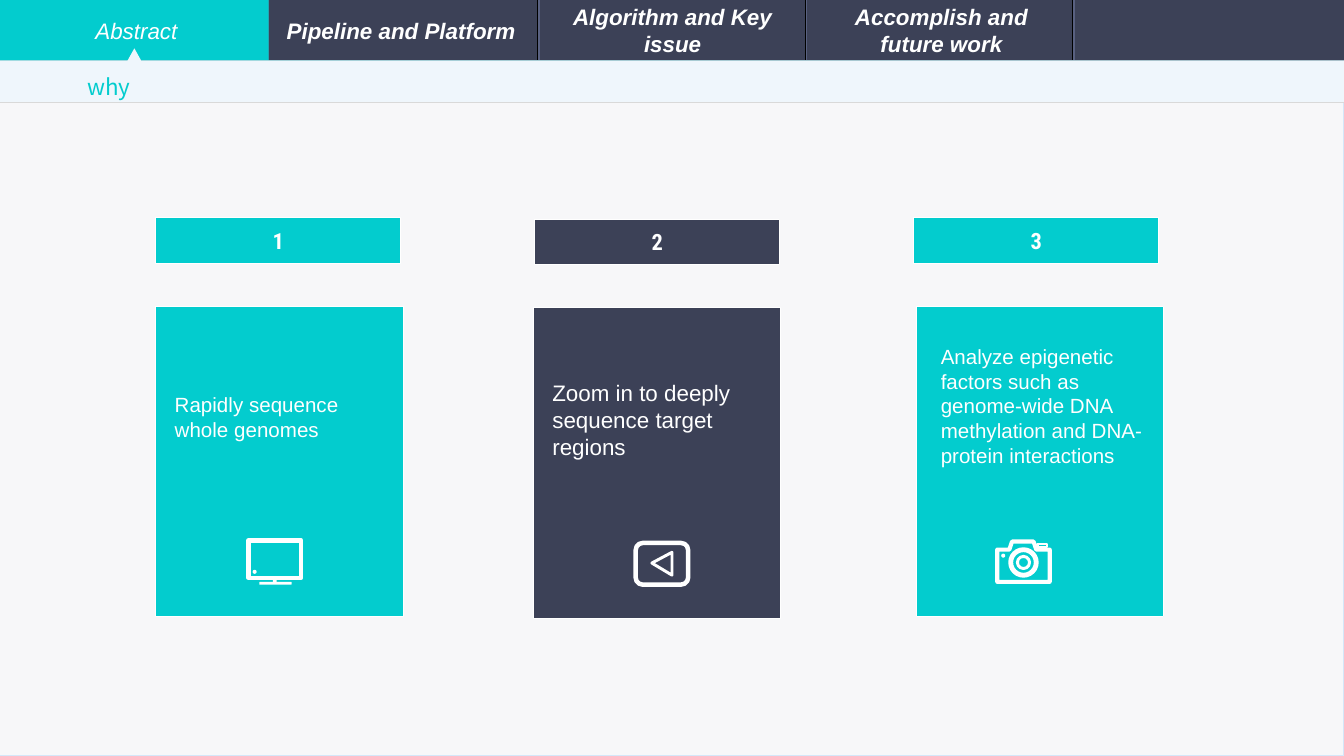
import pptx
import pptx.dml.color
import pptx.enum.shapes
import pptx.enum.text
import pptx.oxml.ns
import lxml.etree
from pptx.util import Inches

SHAPE = pptx.enum.shapes.MSO_SHAPE
ALIGN = pptx.enum.text.PP_ALIGN
ANCHOR = pptx.enum.text.MSO_ANCHOR

TEAL, NAVY, WHITE = "03CCCE", "3C4157", "FFFFFF"
SLIDE_WIDTH = 10
SLIDE_HEIGHT = SLIDE_WIDTH * 9 / 16
BAR_HEIGHT, TAB_WIDTH, HEADER_BOTTOM = 0.45, 2, 0.76

# Content
tabs = [  # label, left, bold
    ("Abstract", 0.02, False),
    ("Pipeline and Platform", 1.99, True),
    ("Algorithm and Key issue", 4.01, True),
    ("Accomplish and future work", 6.01, True),
]
cards = [  # color, top, label left, card left, text, text box, font size
    (TEAL, 1.62, 1.16, 1.16, "Rapidly sequence whole genomes",
     (1.3, 2.92, 1.58, 0.37), 11),
    (NAVY, 1.63, 3.98, 3.97, "Zoom in to deeply sequence target regions",
     (4.11, 2.82, 1.58, 0.61), 12),
    (TEAL, 1.62, 6.8, 6.82,
     "Analyze epigenetic factors such as genome-wide DNA methylation and DNA-protein interactions",
     (7, 2.56, 1.58, 1.11), 11),
]
notch_outline = [(1, 0.36), (1.05, 0.45), (10, 0.45), (10, 0.76),
                 (0, 0.76), (0, 0.45), (0.95, 0.45)]

# Icon parts: solid pieces, stroked presets and stroked outlines
icon_solids = [
    (SHAPE.RECTANGLE, (2.03, 4.3, 0.03, 0.04)),          # monitor stem
    (SHAPE.ROUNDED_RECTANGLE, (1.93, 4.33, 0.24, 0.02)),  # monitor foot
    (SHAPE.OVAL, (1.88, 4.24, 0.03, 0.03)),              # monitor lamp
    (SHAPE.OVAL, (7.45, 4.12, 0.03, 0.03)),              # camera lamp
]
icon_strokes = [
    (SHAPE.RECTANGLE, (1.85, 4.02, 0.39, 0.28), 2.4),          # monitor screen
    (SHAPE.ROUNDED_RECTANGLE, (4.73, 4.04, 0.39, 0.31), 2.4),  # player frame
    (SHAPE.OVAL, (7.52, 4.09, 0.19, 0.19), 2.6),               # camera lens
    (SHAPE.OVAL, (7.57, 4.14, 0.09, 0.09), 1.6),               # camera iris
    (SHAPE.RECTANGLE, (7.72, 4.05, 0.07, 0.02), 1.2),          # camera button
]
icon_outlines = [
    ([(4.85, 4.19), (5, 4.11), (5, 4.28)], 1.6),  # player arrow
    ([(7.42, 4.09), (7.51, 4.09), (7.53, 4.03), (7.69, 4.03), (7.71, 4.09),
      (7.81, 4.09), (7.81, 4.33), (7.42, 4.33)], 2.2),  # camera body
]

presentation = pptx.Presentation()
presentation.slide_width = Inches(SLIDE_WIDTH)
presentation.slide_height = Inches(SLIDE_HEIGHT)
slide = presentation.slides.add_slide(presentation.slide_layouts[6])


def rgb(value):
    return pptx.dml.color.RGBColor.from_string(value)


def paint(shape, fill=None, line=None, weight=0.5):
    shape.shadow.inherit = False
    if fill:
        shape.fill.solid()
        shape.fill.fore_color.rgb = rgb(fill)
    else:
        shape.fill.background()
    if line:
        shape.line.color.rgb = rgb(line)
        shape.line.width = pptx.util.Pt(weight)
    else:
        shape.line.fill.background()
    return shape


def add_box(box, fill=None, line=None, weight=0.5, kind=SHAPE.RECTANGLE):
    shape = slide.shapes.add_shape(kind, *map(Inches, box))
    return paint(shape, fill, line, weight)


def add_outline(points, **style):
    start, *rest = [(Inches(x), Inches(y)) for x, y in points]
    builder = slide.shapes.build_freeform(*start, scale=1.0)
    builder.add_line_segments(rest, close=True)
    return paint(builder.convert_to_shape(), **style)


def add_line(x1, y1, x2, y2, color, weight):
    line = slide.shapes.add_connector(
        pptx.enum.shapes.MSO_CONNECTOR.STRAIGHT, *map(Inches, (x1, y1, x2, y2)))
    line.line.color.rgb = rgb(color)
    line.line.width = pptx.util.Pt(weight)
    lxml.etree.SubElement(line._element.spPr, pptx.oxml.ns.qn("a:effectLst"))


def write(shape, text, size=12, font="Arial", color=WHITE, bold=False, italic=False,
          align=ALIGN.CENTER, anchor=ANCHOR.MIDDLE, wrap=True):
    frame = shape.text_frame
    frame.word_wrap = wrap
    frame.vertical_anchor = anchor
    paragraph = frame.paragraphs[0]
    paragraph.text = text
    paragraph.alignment = align
    paragraph.font.name = font
    paragraph.font.size = pptx.util.Pt(size)
    paragraph.font.bold, paragraph.font.italic = bold, italic
    paragraph.font.color.rgb = rgb(color)
    return frame


# Background
background = slide.background.fill
background.gradient()
background.gradient_angle = 315
for stop, color in zip(background.gradient_stops, (TEAL, "3B445B")):
    stop.color.rgb = rgb(color)

# Navigation bar with two-tone dividers
add_box((0, 0, SLIDE_WIDTH, BAR_HEIGHT), NAVY)
for x in (1.99, 4, 5.99, 7.98):
    add_line(x, 0, x, BAR_HEIGHT, "000000", 0.5)
    add_line(x + 0.01, 0, x + 0.01, BAR_HEIGHT, "596181", 0.75)

# Body panel, active tab and notched subtitle strip
add_box((0, HEADER_BOTTOM, SLIDE_WIDTH, SLIDE_HEIGHT - HEADER_BOTTOM), "F7F7F9", "D4E7F9")
add_box((0, 0, TAB_WIDTH, BAR_HEIGHT), TEAL)
add_outline(notch_outline, fill="EFF6FC")
add_line(0, HEADER_BOTTOM, SLIDE_WIDTH, HEADER_BOTTOM, "D9D9D9", 0.5)

# Tab labels and subtitle
for label, left, bold in tabs:
    write(add_box((left, 0.07, 1.99, 0.31)), label, bold=bold, italic=True)
subtitle = slide.shapes.add_textbox(*map(Inches, (0.55, 0.41, 0.53, 0.37)))
frame = write(subtitle, "why", font="Noto Sans CJK SC", color=TEAL,
              align=ALIGN.LEFT, wrap=False)
frame.paragraphs[0].line_spacing = 1.5

# Numbered cards
for number, (color, top, label_left, left, text, text_box, size) in enumerate(cards, 1):
    label = add_box((label_left, top, 1.82, 0.34), color, WHITE)
    write(label, str(number), font="Roboto Condensed", bold=True)
    add_box((left, top + 0.66, 1.84, 2.31), color, WHITE)
    description = slide.shapes.add_textbox(*map(Inches, text_box))
    frame = write(description, text, size, align=ALIGN.LEFT, anchor=ANCHOR.TOP)
    frame.margin_left = frame.margin_right = frame.margin_top = frame.margin_bottom = 0

# Icons
for points, weight in icon_outlines:
    add_outline(points, line=WHITE, weight=weight)
for kind, box, weight in icon_strokes:
    add_box(box, line=WHITE, weight=weight, kind=kind)
for kind, box in icon_solids:
    add_box(box, WHITE, kind=kind)

presentation.save("out.pptx")
